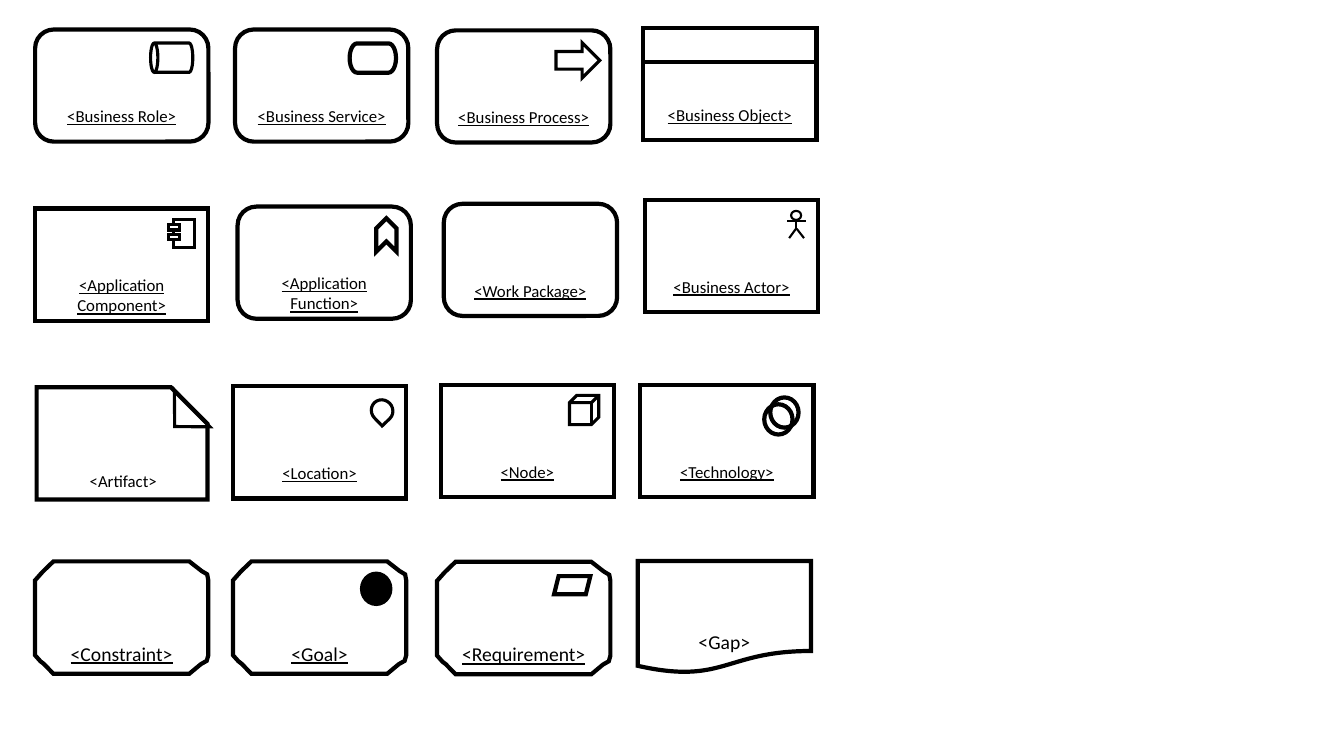
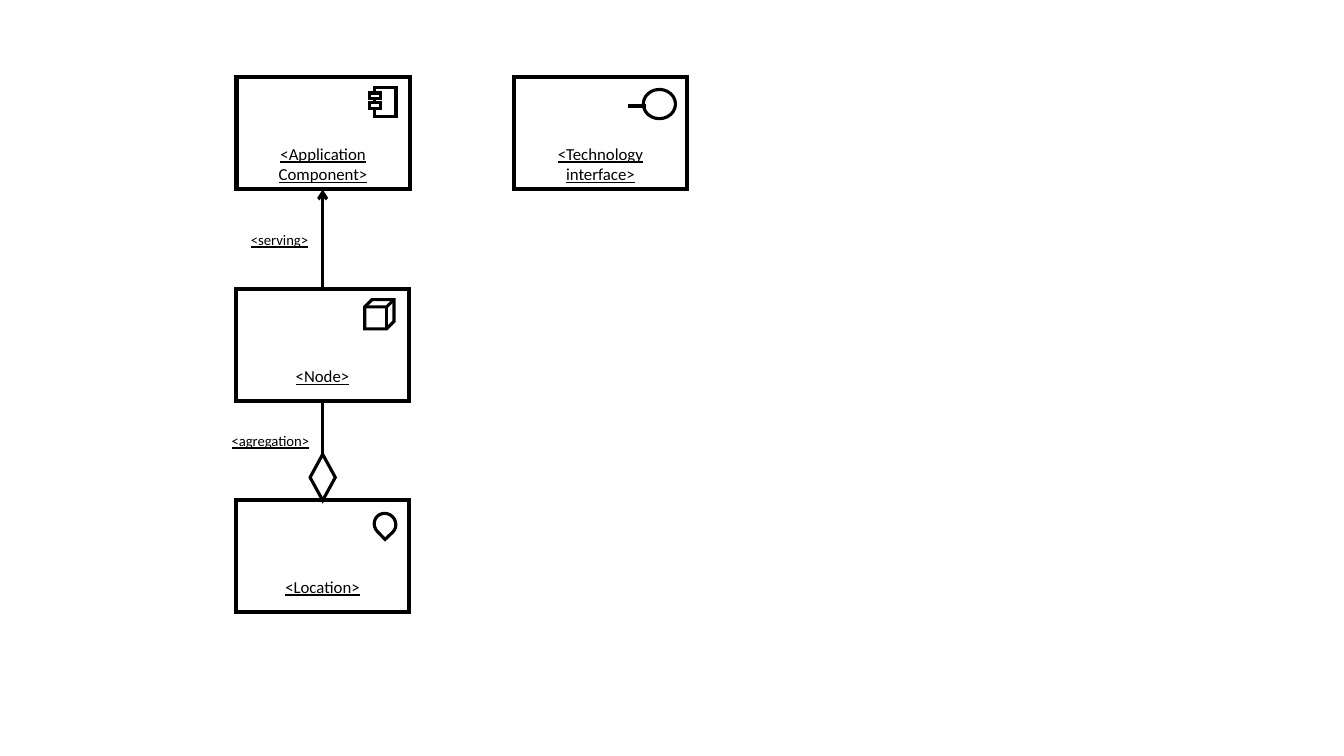
"""Two slides of architecture notation: the element palette and its relations."""
from lxml import etree
from pptx import Presentation
from pptx.dml.color import RGBColor
from pptx.enum import shapes, text
from pptx.oxml import ns
from pptx.util import Pt

BLACK, WHITE = "000000", "FFFFFF"
FONT = "Calibri"
LINE_HEIGHT = 1.21
THICK, MEDIUM, THIN = 3, 2.25, 1.5
WIDTH, HEIGHT = 123.8, 80.1
PRESET = shapes.MSO_SHAPE


def color(value):
    """Turn a hex string into a colour."""
    return RGBColor.from_string(value)


def add_xml(parent, tag, **attributes):
    """Append a DrawingML child to an element."""
    return etree.SubElement(parent, ns.qn(tag), attributes)


def set_line(shape, weight):
    """Give a shape or connector a black outline with sharp corners."""
    shape.line.width = Pt(weight)
    shape.line.color.rgb = color(BLACK)
    outline = shape.element.spPr.find(ns.qn("a:ln"))
    add_xml(outline, "a:miter", lim="800000")
    return outline


def style(shape, weight, fill=None):
    """Set outline and fill, and remove the shadow."""
    shape.shadow.inherit = False
    if fill:
        shape.fill.solid()
        shape.fill.fore_color.rgb = color(fill)
    else:
        shape.fill.background()
    set_line(shape, weight)
    return shape


def draw(container, preset, x, y, width, height, weight=THICK, fill=None,
         rotation=0, adjust=None):
    """Add a preset shape."""
    shape = container.add_shape(preset, Pt(x), Pt(y), Pt(width), Pt(height))
    shape.rotation = rotation
    if adjust is not None:
        shape.adjustments[0] = adjust
    return style(shape, weight, fill)


def draw_line(container, x1, y1, x2, y2, weight, arrow=None):
    """Add a straight line, with an arrowhead at its end if one is named."""
    line = container.add_connector(shapes.MSO_CONNECTOR.STRAIGHT,
                                   Pt(x1), Pt(y1), Pt(x2), Pt(y2))
    outline = set_line(line, weight)
    if arrow:
        add_xml(outline, "a:tailEnd", type=arrow)
    add_xml(line.element.spPr, "a:effectLst")


def write(shape, content, size=12, underline=True, lines_above=0,
          anchor=text.MSO_ANCHOR.MIDDLE):
    """Write centred text, leaving room for some lines above it."""
    frame = shape.text_frame
    frame.word_wrap = True
    frame.vertical_anchor = anchor
    frame.margin_top = Pt(3.6 + lines_above * size * LINE_HEIGHT)
    paragraph = frame.paragraphs[0]
    paragraph.alignment = text.PP_ALIGN.CENTER
    run = paragraph.add_run()
    run.text = content
    run.font.name = FONT
    run.font.size = Pt(size)
    run.font.underline = underline
    run.font.color.rgb = color(BLACK)


def add_label(container, content, x, y, width, height, **text_format):
    """Add a text box."""
    box = container.add_textbox(Pt(x), Pt(y), Pt(width), Pt(height))
    write(box, content, **text_format)


def curve(start, control1, control2, end, steps=3):
    """List the points of a cubic curve after its start."""
    points = []
    for step in range(1, steps + 1):
        t = step / steps
        weights = ((1 - t) ** 3, 3 * t * (1 - t) ** 2, 3 * t * t * (1 - t), t ** 3)
        points.append(tuple(
            sum(weight * value for weight, value in zip(weights, values))
            for values in zip(start, control1, control2, end)))
    return points


def cut_corner_frame(container, x, y):
    """Draw the frame of motivation elements, with softly cut corners."""
    corners = [((0, 13.6), (8, 4.5), (5, 8), (13.2, 0)),
               ((110.2, 0), (122.4, 11.5), (123.8, 6), (123.8, 13.6)),
               ((123.8, 67), (123.8, 74), (121, 69), (110.2, 80.3)),
               ((13.2, 80.3), (1.5, 67.5), (7, 75.5), (0, 67))]
    points = []
    for corner in corners:
        points += [corner[0], *curve(*corner)]
    points = [(Pt(x + dx), Pt(y + dy)) for dx, dy in points]
    builder = container.build_freeform(*points[0])
    builder.add_line_segments(points[1:], close=True)
    return style(builder.convert_to_shape(), THICK)


def preset_frame(preset):
    """Return a function that draws a frame of element size."""
    return lambda container, x, y: draw(container, preset, x, y, WIDTH, HEIGHT)


def preset_icon(preset, dx, dy, width, height, weight=MEDIUM, **options):
    """Return a function that draws a one-shape icon inside an element."""
    return lambda container, x, y: draw(
        container, preset, x + dx, y + dy, width, height, weight, **options)


def component_icon(container, x, y):
    """Draw a component: a body with two tabs."""
    draw(container, PRESET.RECTANGLE, x + 98.9, y + 7.7, 15.1, 20.2, MEDIUM)
    for top in (11.3, 18.3):
        draw(container, PRESET.RECTANGLE, x + 95.2, y + top, 7.9, 4, MEDIUM, WHITE)


def actor_icon(container, x, y):
    """Draw a stick figure."""
    draw(container, PRESET.OVAL, x + 104.4, y + 7.9, 7.2, 6.5, THIN)
    limbs = [(101.5, 15.1, 115.2, 15.1), (108, 14.4, 108, 20.9),
             (108, 20.5, 103, 27.4), (108.4, 20.7, 113.6, 27.4)]
    for x1, y1, x2, y2 in limbs:
        draw_line(container, x + x1, y + y1, x + x2, y + y2, THIN)


def technology_icon(container, x, y):
    """Draw two overlapping rings."""
    for dx, dy in ((92.9, 8.8), (88.6, 13.7)):
        draw(container, PRESET.FLOWCHART_CONNECTOR, x + dx, y + dy, 20.2, 21.6)


def interface_icon(container, x, y):
    """Draw a ring on a short stem."""
    draw(container, PRESET.OVAL, x + 92.5, y + 8.8, 23, 20.9, MEDIUM)
    draw_line(container, x + 81.5, y + 20.8, x + 94.4, y + 20.8, THICK)


box_frame = preset_frame(PRESET.RECTANGLE)
round_frame = preset_frame(PRESET.ROUNDED_RECTANGLE)
document_frame = preset_frame(PRESET.FLOWCHART_DOCUMENT)

role_icon = preset_icon(PRESET.CAN, 87.1, 5, 20.9, 30.2, rotation=270)
service_icon = preset_icon(PRESET.FLOWCHART_TERMINATOR, 81.9, 9.9, 33.1, 20.9, THICK)
process_icon = preset_icon(PRESET.RIGHT_ARROW, 85, 8.8, 31.2, 25.2)
object_icon = preset_icon(PRESET.RECTANGLE, 0, 0, WIDTH, 24.1, THICK)
function_icon = preset_icon(PRESET.CHEVRON, 94.4, 13, 23.8, 14.4, THICK, rotation=270)
location_icon = preset_icon(PRESET.TEAR, 99, 9.4, 15.1, 15.8, rotation=136.1)
node_icon = preset_icon(PRESET.CUBE, 92, 7.4, 20.9, 20.9)
goal_icon = preset_icon(PRESET.FLOWCHART_CONNECTOR, 92.2, 8.8, 20.2, 21.6, THICK,
                        fill=BLACK)
requirement_icon = preset_icon(PRESET.PARALLELOGRAM, 83.6, 10.2, 25.9, 13, THICK)


def add_element(slide, name, x, y, frame, icon=None, **text_format):
    """Add a named element, grouped with its icon."""
    container = slide.shapes.add_group_shape().shapes if icon else slide.shapes
    write(frame(container, x, y), f"<{name}>", lines_above=3, **text_format)
    if icon:
        icon(container, x, y)


def add_artifact(slide, x, y):
    """Add the artifact: a sheet with a folded corner and its label."""
    container = slide.shapes.add_group_shape().shapes
    draw(container, PRESET.SNIP_1_RECTANGLE, x, y, 122, HEIGHT, adjust=0.325)
    draw(container, PRESET.ISOSCELES_TRIANGLE, x + 86.2, y + 12.2, 36.7, 18, MEDIUM,
         rotation=226.1, adjust=0.481)
    add_label(container, "<Artifact>", x, y + 56, WIDTH, 22.3, underline=False,
              anchor=text.MSO_ANCHOR.TOP)


def build_palette(slide):
    """Show every kind of element."""
    elements = [
        ("Business Role", 25.1, 21.1, round_frame, role_icon),
        ("Business Service", 167.9, 21.1, round_frame, service_icon),
        ("Business Process", 312.2, 21.7, round_frame, process_icon),
        ("Business Object", 459.4, 20.2, box_frame, object_icon),
        ("Application Component", 25, 149, box_frame, component_icon),
        ("Application Function", 169.7, 147.6, round_frame, function_icon),
        ("Work Package", 317, 145.6, round_frame),
        ("Business Actor", 460.7, 142.7, box_frame, actor_icon),
        ("Location", 166.4, 276, box_frame, location_icon),
        ("Node", 314.8, 275, box_frame, node_icon),
        ("Technology", 457.3, 275.1, box_frame, technology_icon),
    ]
    for element in elements:
        add_element(slide, *element)
    add_artifact(slide, 26.2, 276.7)
    motivations = [("Constraint", 25, 401, None), ("Goal", 166.4, 401, goal_icon),
                   ("Requirement", 312.2, 401.3, requirement_icon)]
    for name, x, y, icon in motivations:
        add_element(slide, name, x, y, cut_corner_frame, icon, size=14)
    add_element(slide, "Gap", 455.5, 400.8, document_frame, size=14, underline=False)


def build_relations(slide):
    """Show elements joined by serving and aggregation."""
    elements = [
        ("Application Component", 168.9, 55.1, box_frame, component_icon),
        ("Node", 168.5, 206.6, box_frame, node_icon),
        ("Location", 168.5, 357.1, box_frame, location_icon),
        ("Technology interface", 367, 55.1, box_frame, interface_icon),
    ]
    for element in elements:
        add_element(slide, *element)
    middle = 230.5
    draw_line(slide.shapes, middle, 206.6, middle, 135.3, MEDIUM, arrow="arrow")
    aggregation = slide.shapes.add_group_shape().shapes
    draw_line(aggregation, middle, 286.7, middle, 324.5, MEDIUM)
    draw(aggregation, PRESET.DIAMOND, middle - 9, 324.5, 18, 33, MEDIUM, WHITE)
    for name, x, y in (("serving", 147.5, 163.5), ("agregation", 140.9, 307)):
        add_label(slide.shapes, f"<{name}>", x, y, 104.4, 15.1, size=10.5)


def main():
    """Build and save the presentation."""
    presentation = Presentation()
    presentation.slide_width, presentation.slide_height = Pt(960), Pt(540)
    blank = presentation.slide_layouts[6]
    for build in (build_palette, build_relations):
        build(presentation.slides.add_slide(blank))
    presentation.save("out.pptx")


main()
